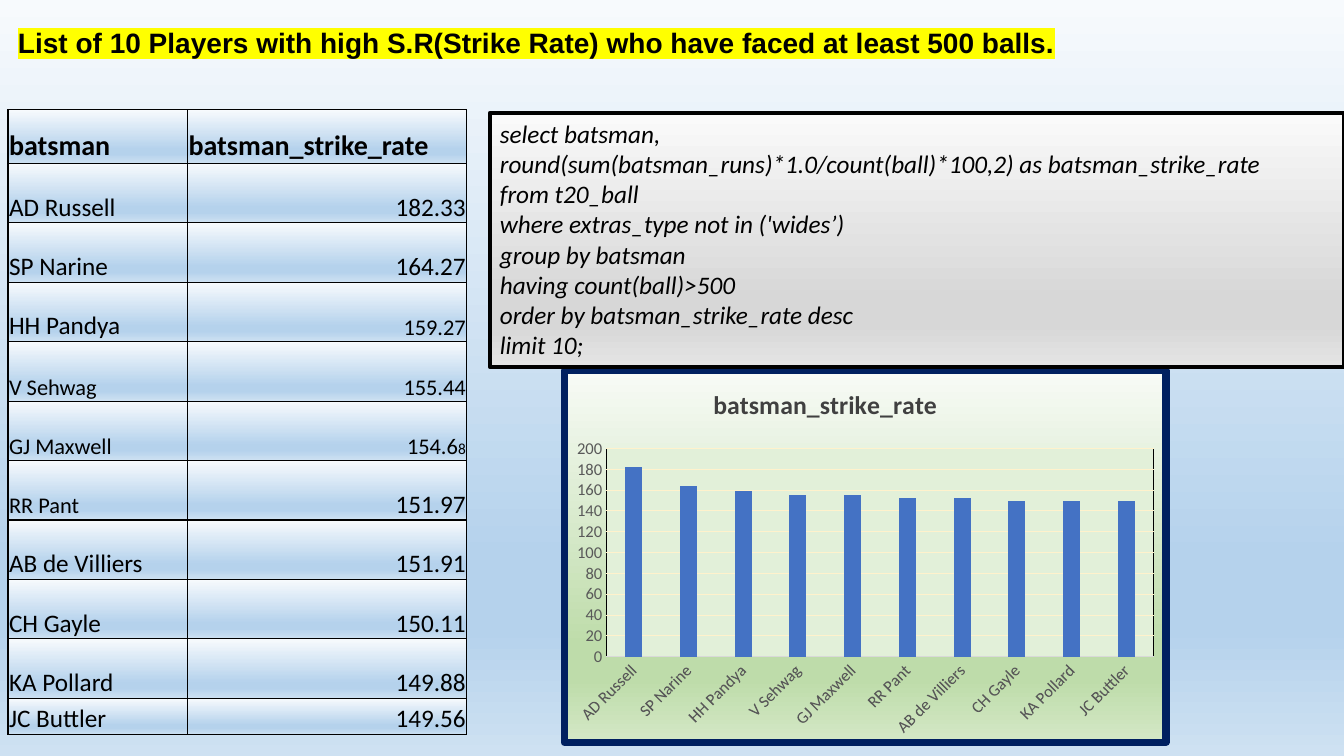
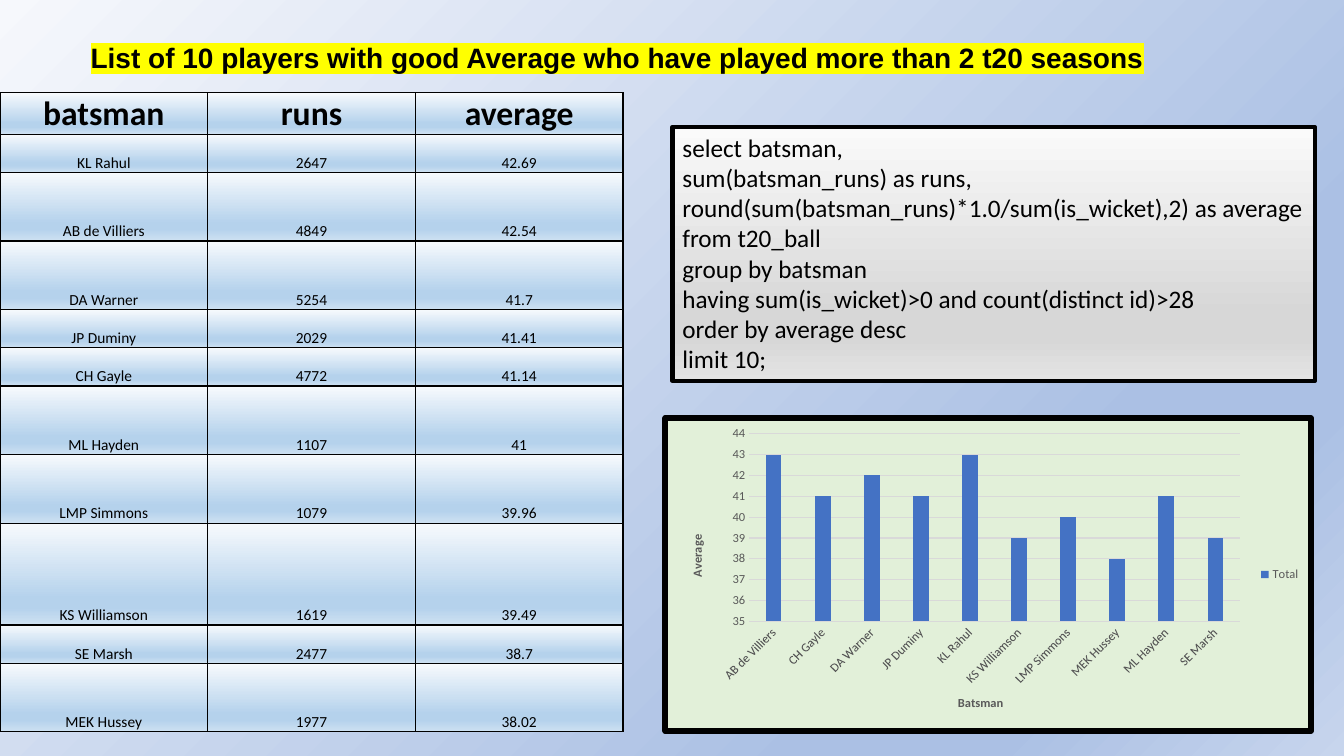
import dataclasses

import pptx
import pptx.chart.data
import pptx.dml.color
import pptx.enum.chart
import pptx.enum.shapes
import pptx.enum.text
import pptx.oxml
import pptx.oxml.ns
import pptx.util

Inches = pptx.util.Inches
Pt = pptx.util.Pt
qn = pptx.oxml.ns.qn
ALIGN = pptx.enum.text.PP_ALIGN


@dataclasses.dataclass(frozen=True)
class Theme:
    heading_font: str = "Arial"
    body_font: str = "Calibri"
    ink: str = "000000"
    highlight: str = "FFFF00"
    muted: str = "595959"
    chart_title: str = "404040"
    rule: str = "D9D9D9"
    warm_rule: str = "FFF2CC"
    bar: str = "4472C4"
    navy: str = "002060"
    pale_green: str = "E2F0D9"
    sky: tuple = ("F7FAFD", "B5D2EC", "CEE1F2")
    periwinkle: tuple = ("F6F8FC", "ABC0E4", "C7D5ED")
    silver: tuple = ("FAFAFA", "D7D7D7", "E4E4E4")
    green: tuple = ("F8FBF6", "BEDCAA", "D4E8C6")
    heading_size: float = 20
    query_size: float = 18
    chart_title_size: float = 18.6


THEME = Theme()

STRIKE_RATES = [
    ("batsman", "batsman_strike_rate"),
    ("AD Russell", "182.33"),
    ("SP Narine", "164.27"),
    ("HH Pandya", "159.27"),
    ("V Sehwag", "155.44"),
    ("GJ Maxwell", "154.68"),
    ("RR Pant", "151.97"),
    ("AB de Villiers", "151.91"),
    ("CH Gayle", "150.11"),
    ("KA Pollard", "149.88"),
    ("JC Buttler", "149.56"),
]
SMALLER_CELLS = {(3, 1): 16, (4, 0): 16, (4, 1): 16, (5, 0): 16, (5, 1): 16, (6, 0): 16}
LAST_DIGIT_SIZES = {(5, 1): 11}

AVERAGES = [
    ("batsman", "runs", "average"),
    ("KL Rahul", "2647", "42.69"),
    ("AB de Villiers", "4849", "42.54"),
    ("DA Warner", "5254", "41.7"),
    ("JP Duminy", "2029", "41.41"),
    ("CH Gayle", "4772", "41.14"),
    ("ML Hayden", "1107", "41"),
    ("LMP Simmons", "1079", "39.96"),
    ("KS Williamson", "1619", "39.49"),
    ("SE Marsh", "2477", "38.7"),
    ("MEK Hussey", "1977", "38.02"),
]

STRIKE_RATE_QUERY = """select batsman,
round(sum(batsman_runs)*1.0/count(ball)*100,2) as batsman_strike_rate
from t20_ball
where extras_type not in ('wides’)
group by batsman
having count(ball)>500
order by batsman_strike_rate desc
limit 10;"""

AVERAGE_QUERY = """select batsman,
sum(batsman_runs) as runs,
round(sum(batsman_runs)*1.0/sum(is_wicket),2) as average
from t20_ball
group by batsman
having sum(is_wicket)>0 and count(distinct id)>28
order by average desc
limit 10;"""


def rgb(color):
    return pptx.dml.color.RGBColor.from_string(color)


def build_xml(tag, content, attributes=""):
    names = pptx.oxml.ns.nsdecls("a", "c")
    return pptx.oxml.parse_xml(f"<{tag} {names} {attributes}>{content}</{tag}>")


def solid_xml(color):
    return f'<a:solidFill><a:srgbClr val="{color}"/></a:solidFill>'


def gradient_xml(colors, angle=90):
    light, deep, end = colors
    stops = "".join(
        f'<a:gs pos="{place * 1000}"><a:srgbClr val="{color}"/></a:gs>'
        for place, color in ((0, light), (74, deep), (83, deep), (100, end))
    )
    return f'<a:gsLst>{stops}</a:gsLst><a:lin ang="{angle * 60000}" scaled="0"/>'


def apply_gradient(fill, owner, colors, angle=90):
    fill.gradient()
    old = owner.find(".//" + qn("a:gradFill"))
    old.getparent().replace(old, build_xml("a:gradFill", gradient_xml(colors, angle)))


def style_font(font, size, color=THEME.ink, bold=False, italic=False, name=THEME.body_font):
    font.size = Pt(size)
    font.bold = bold
    font.italic = italic
    font.color.rgb = rgb(color)
    font.name = name


def add_page(deck, colors, angle):
    page = deck.slides.add_slide(deck.slide_layouts[6])
    apply_gradient(page.background.fill, page.element, colors, angle)
    return page


def add_heading(page, text, area):
    box = page.shapes.add_textbox(*map(Inches, area))
    box.text_frame.word_wrap = True
    box.text_frame.text = text
    span = box.text_frame.paragraphs[0].runs[0]
    style_font(span.font, THEME.heading_size, bold=True, name=THEME.heading_font)
    mark = build_xml("a:highlight", f'<a:srgbClr val="{THEME.highlight}"/>')
    box.element.find(".//" + qn("a:rPr")).find(qn("a:solidFill")).addnext(mark)


def add_query(page, query, area, italic=False):
    box = page.shapes.add_shape(pptx.enum.shapes.MSO_SHAPE.RECTANGLE, *map(Inches, area))
    box.shadow.inherit = False
    apply_gradient(box.fill, box.element, THEME.silver)
    box.line.color.rgb = rgb(THEME.ink)
    box.line.width = Pt(3)
    box.text_frame.word_wrap = True
    box.text_frame.vertical_anchor = pptx.enum.text.MSO_ANCHOR.TOP
    box.text_frame.text = query
    for para in box.text_frame.paragraphs:
        para.alignment = ALIGN.LEFT
        style_font(para.runs[0].font, THEME.query_size, italic=italic)


def style_cell_box(properties):
    for side in ("lnL", "lnR", "lnT", "lnB"):
        properties.append(build_xml(f"a:{side}", solid_xml(THEME.ink), 'w="12700"'))
    properties.append(build_xml("a:gradFill", gradient_xml(THEME.sky)))


def add_data_table(page, rows, corner, widths, heights, aligns, header_align,
                   header_size, body_size, sizes=None, last_sizes=None):
    frame = page.shapes.add_table(
        len(rows), len(widths), *map(Inches, (*corner, sum(widths), sum(heights)))
    )
    table = frame.table
    for column, width in zip(table.columns, widths):
        column.width = Inches(width)
    for row, height in zip(table.rows, heights):
        row.height = Inches(height)
    for i, values in enumerate(rows):
        for j, value in enumerate(values):
            cell = table.cell(i, j)
            cell.margin_left = cell.margin_right = cell.margin_top = Inches(0.01)
            cell.margin_bottom = 0
            cell.vertical_anchor = pptx.enum.text.MSO_ANCHOR.BOTTOM
            size = header_size if i == 0 else (sizes or {}).get((i, j), body_size)
            last_size = (last_sizes or {}).get((i, j))
            para = cell.text_frame.paragraphs[0]
            para.text = value[:-1] if last_size else value
            para.alignment = aligns[j] if i else header_align
            style_font(para.runs[0].font, size, bold=i == 0)
            if last_size:
                span = para.add_run()
                span.text = value[-1]
                style_font(span.font, last_size)
    for properties in frame.element.iter(qn("a:tcPr")):
        style_cell_box(properties)


def set_layout(owner, index, inner=False, **fractions):
    for old in owner.findall(qn("c:layout")):
        owner.remove(old)
    target = '<c:layoutTarget val="inner"/>' if inner else ""
    modes = '<c:xMode val="edge"/><c:yMode val="edge"/>'
    values = "".join(f'<c:{key} val="{value}"/>' for key, value in fractions.items())
    content = f"<c:manualLayout>{target}{modes}{values}</c:manualLayout>"
    owner.insert(index, build_xml("c:layout", content))


def box_xml(fill, line, width):
    outline = f'<a:ln w="{int(Pt(width))}">{solid_xml(line)}</a:ln>'
    return build_xml("c:spPr", fill + outline)


def style_axis(axis, size):
    axis.major_tick_mark = axis.minor_tick_mark = pptx.enum.chart.XL_TICK_MARK.NONE
    style_font(axis.tick_labels.font, size, THEME.muted)


def add_bar_chart(page, name, points, area, plot, scale, label_size, grid, fill, border):
    data = pptx.chart.data.CategoryChartData()
    data.categories = [label for label, value in points]
    data.add_series(name, [round(float(value)) for label, value in points])
    kind = pptx.enum.chart.XL_CHART_TYPE.COLUMN_CLUSTERED
    chart = page.shapes.add_chart(kind, *map(Inches, area), data).chart
    chart.has_title = False
    chart.has_legend = False
    chart.element.find(qn("c:chart")).addnext(box_xml(fill, *border))
    style_font(chart.font, 10)

    bars = chart.plots[0]
    bars.vary_by_categories = False
    bars.gap_width = 219
    bars.overlap = -27
    bars.series[0].format.fill.solid()
    bars.series[0].format.fill.fore_color.rgb = rgb(THEME.bar)

    categories, values = chart.category_axis, chart.value_axis
    style_axis(categories, label_size)
    style_axis(values, label_size)
    categories.format.line.color.rgb = rgb(THEME.rule)
    categories.format.line.width = Pt(0.75)
    chart.element.find(f".//{qn('c:catAx')}/{qn('c:txPr')}/{qn('a:bodyPr')}").set("rot", "-2700000")
    values.format.line.fill.background()
    values.minimum_scale, values.maximum_scale, values.major_unit = scale
    values.major_gridlines.format.line.color.rgb = rgb(grid)
    values.major_gridlines.format.line.width = Pt(0.75)
    x, y, w, h = plot
    set_layout(chart.element.find(".//" + qn("c:plotArea")), 0, True, x=x, y=y, w=w, h=h)
    return chart


def add_chart_title(chart, text):
    frame = chart.chart_title.text_frame
    frame.text = text
    style_font(frame.paragraphs[0].runs[0].font, THEME.chart_title_size, THEME.chart_title, True)
    set_layout(chart.element.find(".//" + qn("c:title")), 1, x=0.24, y=0.03)


def add_axis_title(axis, text, size):
    frame = axis.axis_title.text_frame
    frame.text = text
    style_font(frame.paragraphs[0].runs[0].font, size, THEME.muted, True)


def build_strike_rate_page(deck):
    page = add_page(deck, THEME.sky, 90)
    add_heading(page, "List of 10 Players with high S.R(Strike Rate) who have faced at least 500 balls.",
                (0.08, 0.2, 11.81, 0.44))
    add_data_table(page, STRIKE_RATES, (0.08, 1.09), (1.78, 2.77), [0.53] + [0.59] * 9 + [0.36],
                   (ALIGN.LEFT, ALIGN.RIGHT), ALIGN.LEFT, 20, 18, SMALLER_CELLS, LAST_DIGIT_SIZES)
    fill = f"<a:gradFill>{gradient_xml(THEME.green)}</a:gradFill>"
    chart = add_bar_chart(page, STRIKE_RATES[0][1], STRIKE_RATES[1:], (5.56, 3.64, 6.04, 3.76),
                          (0.07, 0.21, 0.91, 0.56), (0, 200, 20), 12, THEME.warm_rule,
                          fill, (THEME.navy, 5.25))
    add_chart_title(chart, STRIKE_RATES[0][1])
    plot_box = box_xml(solid_xml(THEME.pale_green), THEME.ink, 0.75)
    chart.element.find(".//" + qn("c:plotArea")).append(plot_box)
    add_query(page, STRIKE_RATE_QUERY, (4.86, 1.12, 8.47, 2.52), italic=True)


def build_average_page(deck):
    page = add_page(deck, THEME.periwinkle, 45)
    add_heading(page, "List of 10 players with good Average who have played more than 2 t20 seasons",
                (0.8, 0.35, 12.53, 0.74))
    add_query(page, AVERAGE_QUERY, (6.67, 1.26, 6.37, 2.52))
    short, tall = 0.38, 0.68
    heights = (0.4, short, tall, tall, short, short, tall, tall, 1.01, short, tall)
    add_data_table(page, AVERAGES, (0, 0.92), [2.06] * 3, heights,
                   [ALIGN.CENTER] * 3, ALIGN.CENTER, 24, 11)
    points = sorted((batsman, average) for batsman, runs, average in AVERAGES[1:])
    chart = add_bar_chart(page, "Total", points, (6.57, 4.12, 6.46, 3.16),
                          (0.13, 0.05, 0.76, 0.6), (35, 44, 1), 9, THEME.rule,
                          solid_xml(THEME.pale_green), (THEME.ink, 4.25))
    add_axis_title(chart.category_axis, "Batsman", 9)
    add_axis_title(chart.value_axis, "Average", 9)
    chart.element.find(f".//{qn('c:valAx')}/{qn('c:title')}//{qn('a:bodyPr')}").set("rot", "-5400000")
    chart.has_legend = True
    chart.legend.position = pptx.enum.chart.XL_LEGEND_POSITION.RIGHT
    chart.legend.include_in_layout = False
    style_font(chart.legend.font, 9, THEME.muted)


def main():
    deck = pptx.Presentation()
    deck.slide_width = Inches(13.33)
    deck.slide_height = Inches(7.5)
    build_strike_rate_page(deck)
    build_average_page(deck)
    deck.save("out.pptx")


if __name__ == "__main__":
    main()
